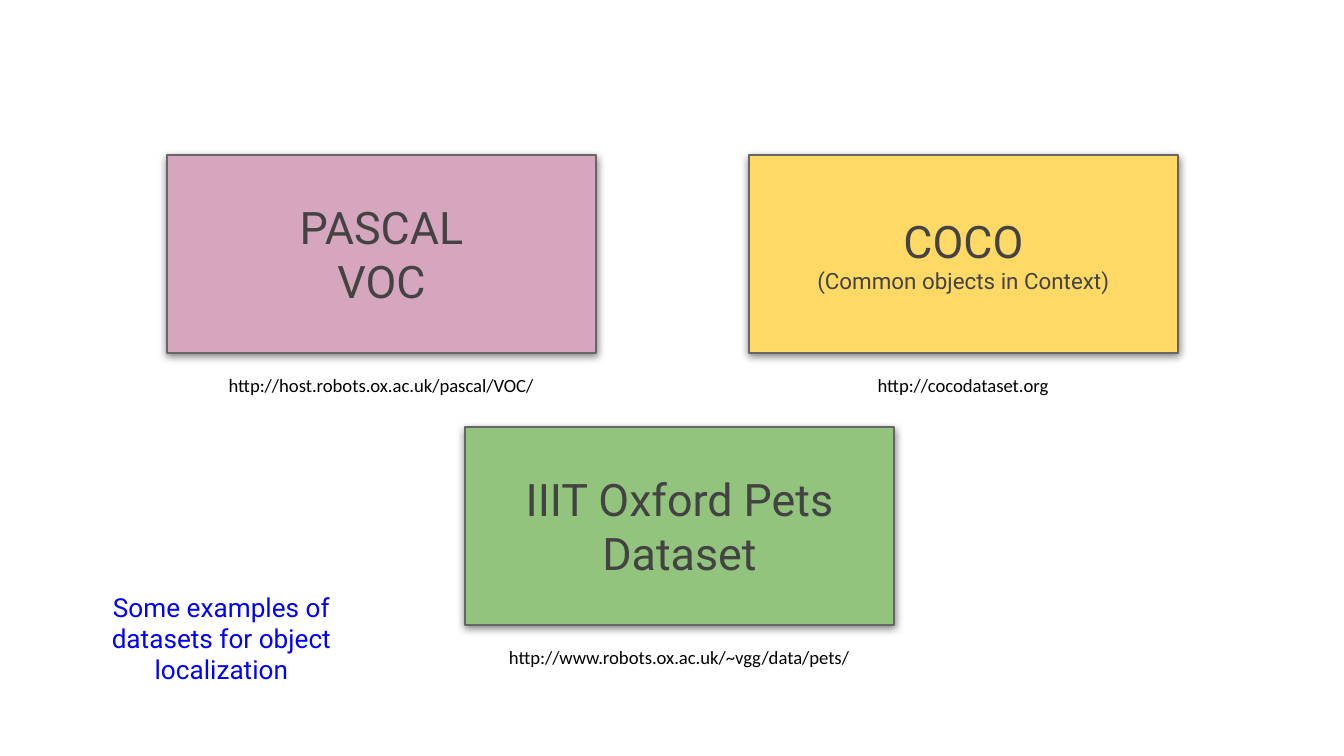
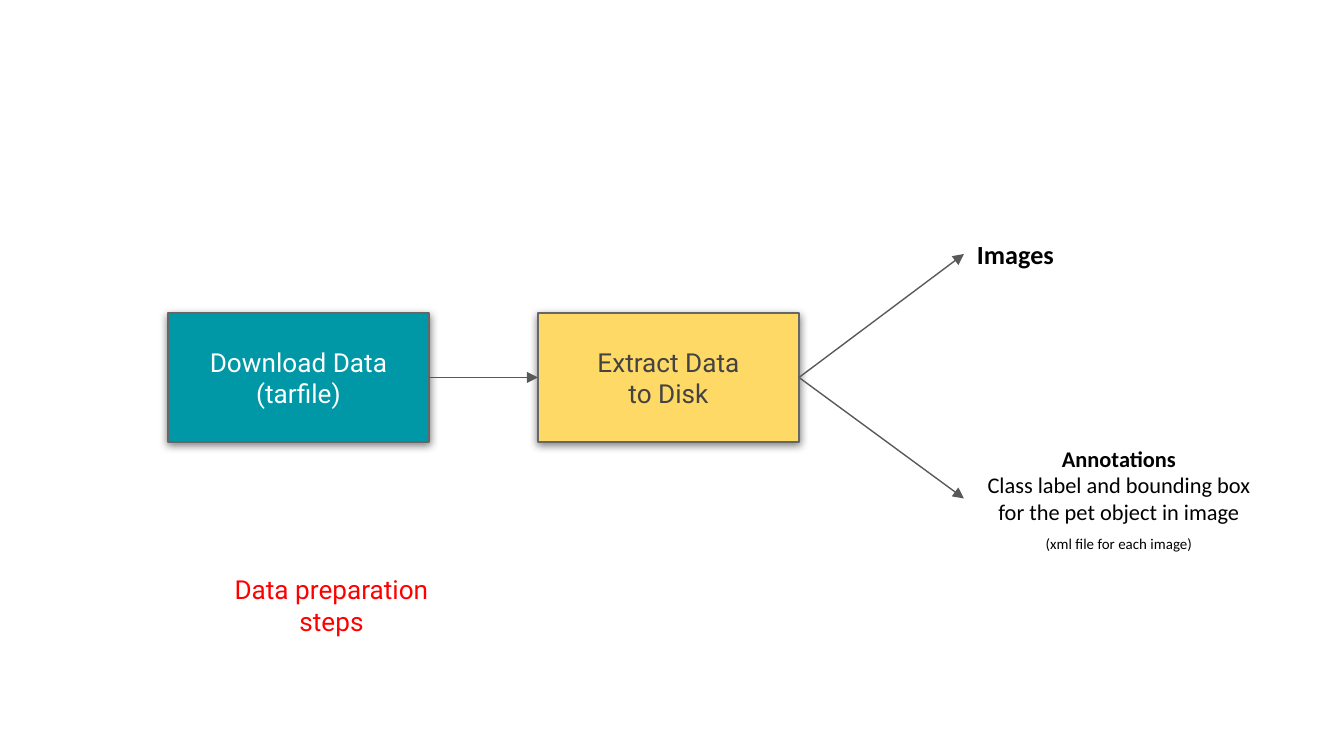
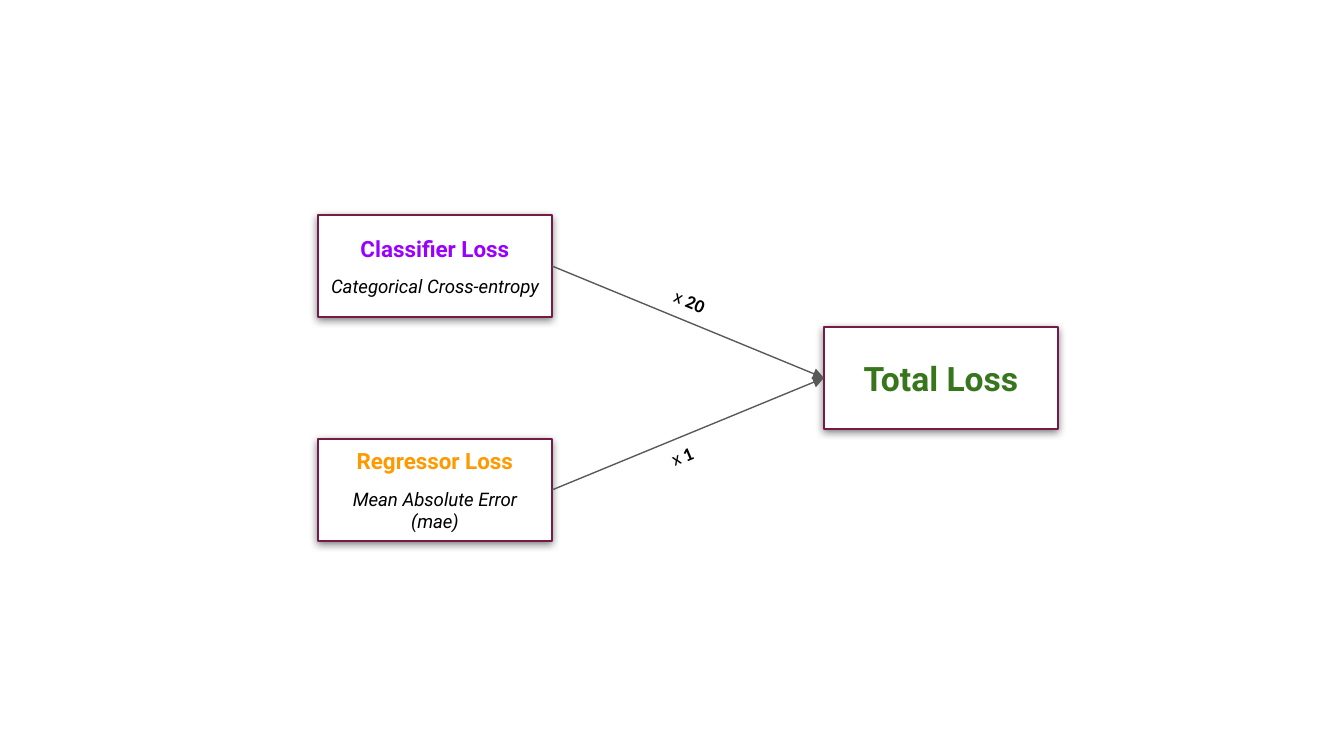
from dataclasses import dataclass

from lxml import etree
from pptx import Presentation
from pptx.dml.color import RGBColor
from pptx.enum.shapes import MSO_CONNECTOR, MSO_SHAPE
from pptx.enum.text import MSO_ANCHOR, PP_ALIGN
from pptx.oxml.ns import qn
from pptx.util import Pt

EMU_PER_PX = 914400 / 134.4
SLIDE_W, SLIDE_H = 1344, 756
INSET = 13

RECT = MSO_SHAPE.RECTANGLE
STRAIGHT = MSO_CONNECTOR.STRAIGHT
MIDDLE = MSO_ANCHOR.MIDDLE
LEFT, CENTER = PP_ALIGN.LEFT, PP_ALIGN.CENTER
LEFT_SITE, RIGHT_SITE = 1, 3

BLACK = RGBColor(0x00, 0x00, 0x00)
WHITE = RGBColor(0xFF, 0xFF, 0xFF)
DARK = RGBColor(0x43, 0x43, 0x43)
BORDER = RGBColor(0x66, 0x66, 0x66)
ARROW = RGBColor(0x59, 0x59, 0x59)
PINK = RGBColor(0xD5, 0xA6, 0xBD)
YELLOW = RGBColor(0xFF, 0xD9, 0x66)
LEAF = RGBColor(0x93, 0xC4, 0x7D)
TEAL = RGBColor(0x00, 0x97, 0xA7)
BLUE = RGBColor(0x00, 0x00, 0xFF)
RED = RGBColor(0xFF, 0x00, 0x00)
PLUM = RGBColor(0x74, 0x1B, 0x47)
VIOLET = RGBColor(0x99, 0x00, 0xFF)
ORANGE = RGBColor(0xFF, 0x99, 0x00)
GREEN = RGBColor(0x38, 0x76, 0x1D)

ROBOTO, CALIBRI = "Roboto", "Calibri"


def px(n):
    return round(n * EMU_PER_PX)


@dataclass
class Para:
    """One paragraph; bold_tail is a bold run after the text."""
    text: str
    size: int
    color: RGBColor = BLACK
    font: str = ROBOTO
    bold: bool = False
    italic: bool = False
    bold_tail: str = ""
    before: int = 0
    spacing: float = 1.0
    align: PP_ALIGN = CENTER


class Deck:
    def __init__(self):
        self.prs = Presentation()
        self.prs.slide_width, self.prs.slide_height = px(SLIDE_W), px(SLIDE_H)
        self.s = None

    def new_slide(self):
        self.s = self.prs.slides.add_slide(self.prs.slide_layouts[6])

    def fill_text(self, sp, paras):
        tf = sp.text_frame
        tf.word_wrap = True
        tf.vertical_anchor = MIDDLE
        tf.margin_left = tf.margin_right = px(INSET)
        tf.margin_top = tf.margin_bottom = px(INSET)
        for i, para in enumerate(paras):
            p = tf.add_paragraph() if i else tf.paragraphs[0]
            p.alignment = para.align
            p.line_spacing = para.spacing
            if para.before:
                p.space_before = Pt(para.before)
            p.font.name, p.font.size = para.font, Pt(para.size)
            p.font.bold, p.font.italic = para.bold, para.italic
            p.font.color.rgb = para.color
            p.add_run().text = para.text
            if para.bold_tail:
                r = p.add_run()
                r.text = para.bold_tail
                r.font.bold = True

    def box(self, x, y, w, h, fill, *paras, line=BORDER):
        """Bordered rectangle with a soft shadow below it."""
        sp = self.s.shapes.add_shape(RECT, px(x), px(y), px(w), px(h))
        sp.fill.solid()
        sp.fill.fore_color.rgb = fill
        sp.line.color.rgb = line
        sp.line.width = Pt(0.75)
        sp.shadow.inherit = False
        effects = sp._element.spPr.find(qn("a:effectLst"))
        shadow = etree.SubElement(
            effects, qn("a:outerShdw"), blurRad=str(Pt(4.5)),
            dist=str(Pt(1.5)), dir="5400000", algn="bl", rotWithShape="0")
        color = etree.SubElement(shadow, qn("a:srgbClr"), val="000000")
        etree.SubElement(color, qn("a:alpha"), val="50000")
        self.fill_text(sp, paras)
        return sp

    def text(self, x, y, w, h, *paras, rotation=0):
        sp = self.s.shapes.add_textbox(px(x), px(y), px(w), px(h))
        sp.rotation = rotation
        self.fill_text(sp, paras)
        return sp

    def arrow(self, start, end):
        """Arrow from the right side of start to the left side of end."""
        c = self.s.shapes.add_connector(STRAIGHT, 0, 0, 0, 0)
        c.begin_connect(start, RIGHT_SITE)
        c.end_connect(end, LEFT_SITE)
        c.line.color.rgb = ARROW
        c.line.width = Pt(0.75)
        etree.SubElement(c.line._get_or_add_ln(), qn("a:tailEnd"), type="triangle")
        etree.SubElement(c._element.spPr, qn("a:effectLst"))


def datasets_slide(deck):
    deck.new_slide()
    box_w, box_h, url_w, url_h = 429, 198, 534, 64
    datasets = [
        (167, 155, PINK, [("PASCAL", 24), ("VOC", 24)],
         "http://host.robots.ox.ac.uk/pascal/VOC/"),
        (749, 155, YELLOW, [("COCO", 24), ("(Common objects in Context)", 12)],
         "http://cocodataset.org"),
        (465, 427, LEAF, [("IIIT Oxford Pets Dataset", 24)],
         "http://www.robots.ox.ac.uk/~vgg/data/pets/"),
    ]
    for x, y, fill, lines, url in datasets:
        deck.box(x, y, box_w, box_h, fill,
                 *(Para(text, size, DARK) for text, size in lines))
        deck.text(x + (box_w - url_w) // 2, y + box_h, url_w, url_h,
                  Para(url, 10, font=CALIBRI))
    deck.text(51, 567, 341, 142,
              Para("Some examples of datasets for object localization", 14, BLUE))


def preparation_slide(deck):
    deck.new_slide()
    step_y, step_w, step_h = 313, 261, 129
    download = deck.box(168, step_y, step_w, step_h, TEAL,
                        Para("Download Data", 14, WHITE),
                        Para("(tarfile)", 14, WHITE))
    extract = deck.box(538, step_y, step_w, step_h, YELLOW,
                       Para("Extract Data", 14, DARK),
                       Para("to Disk", 14, DARK))
    images = deck.text(964, 226, 130, 56,
                       Para("Images", 14, font=CALIBRI, bold=True, align=LEFT))
    annotations = deck.text(
        964, 473, 310, 51,
        Para("Annotations", 12, font=CALIBRI, bold=True),
        Para("Class label and bounding box for the pet object in image", 12,
             font=CALIBRI),
        Para("(xml file for each image)", 8, font=CALIBRI, spacing=1.5))
    for start, end in ((download, extract), (extract, images),
                       (extract, annotations)):
        deck.arrow(start, end)
    deck.text(195, 560, 273, 90, Para("Data preparation steps", 14, RED))


def loss_slide(deck):
    deck.new_slide()
    box_w, box_h = 234, 102
    total = deck.box(824, 327, box_w, box_h, WHITE,
                     Para("Total Loss", 18, GREEN, bold=True), line=PLUM)
    losses = [
        (215, "Classifier Loss", VIOLET, "Categorical Cross-entropy"),
        (439, "Regressor Loss", ORANGE, "Mean Absolute Error (mae)"),
    ]
    for y, name, color, formula in losses:
        loss = deck.box(318, y, box_w, box_h, WHITE,
                        Para(name, 12, color, bold=True),
                        Para(formula, 10, italic=True, before=7), line=PLUM)
        deck.arrow(loss, total)
    for x, y, weight, rotation in ((617, 281, "20", 22.7), (609, 436, "1", -22.6)):
        deck.text(x, y, 146, 40,
                  Para("x ", 10, font=CALIBRI, bold_tail=weight),
                  rotation=rotation)


def main():
    deck = Deck()
    datasets_slide(deck)
    preparation_slide(deck)
    loss_slide(deck)
    deck.prs.save("out.pptx")


if __name__ == "__main__":
    main()
